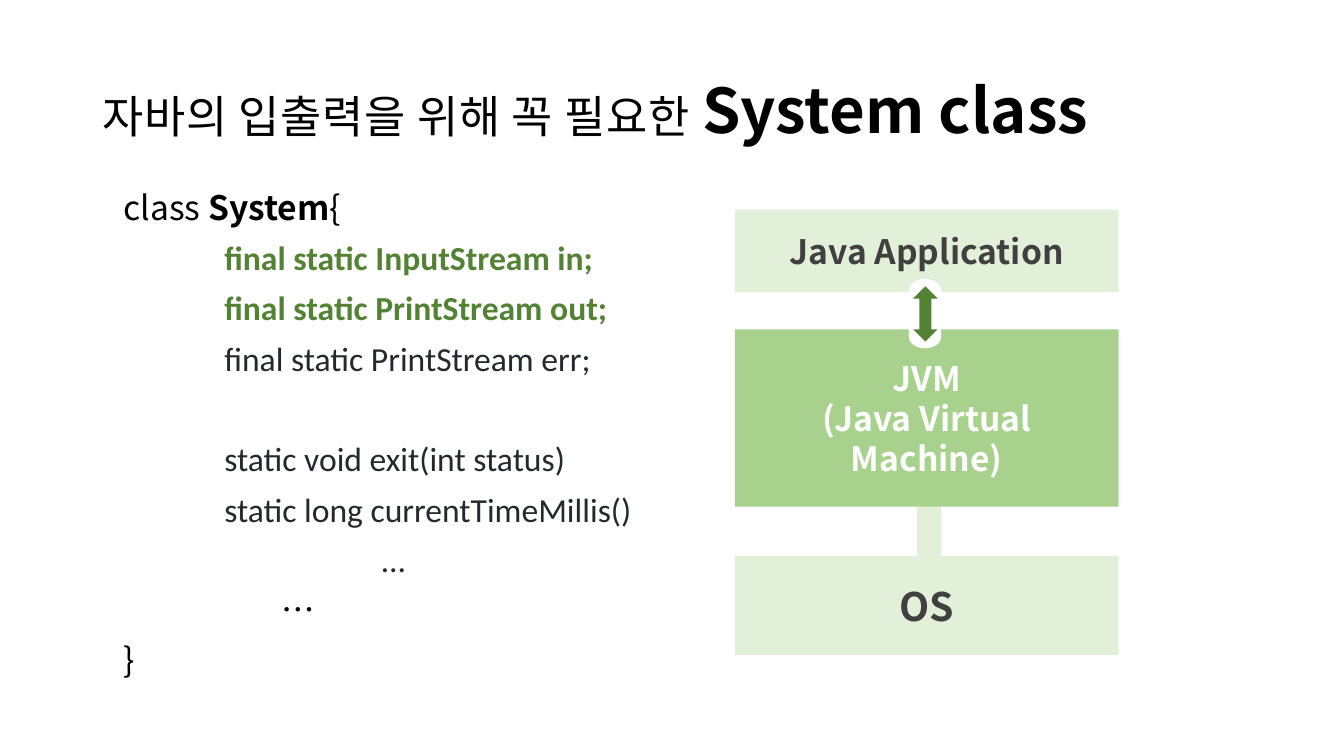
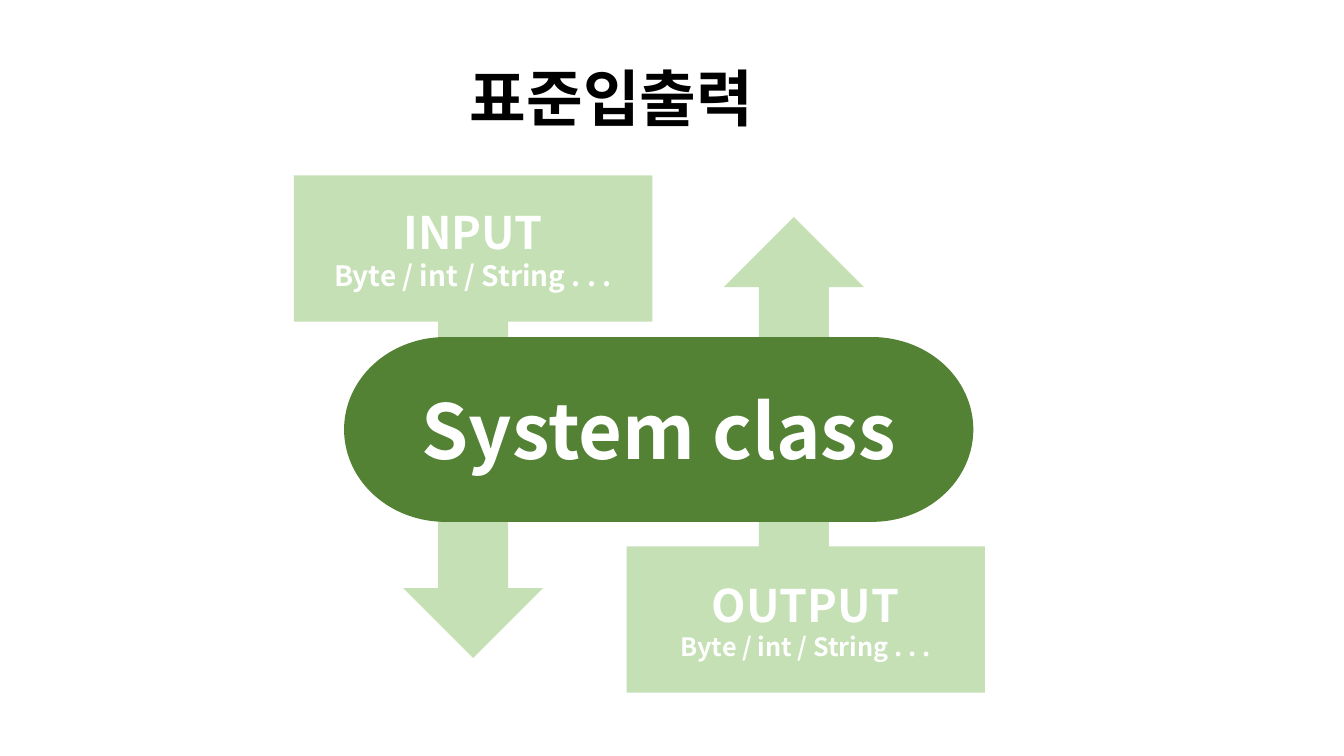
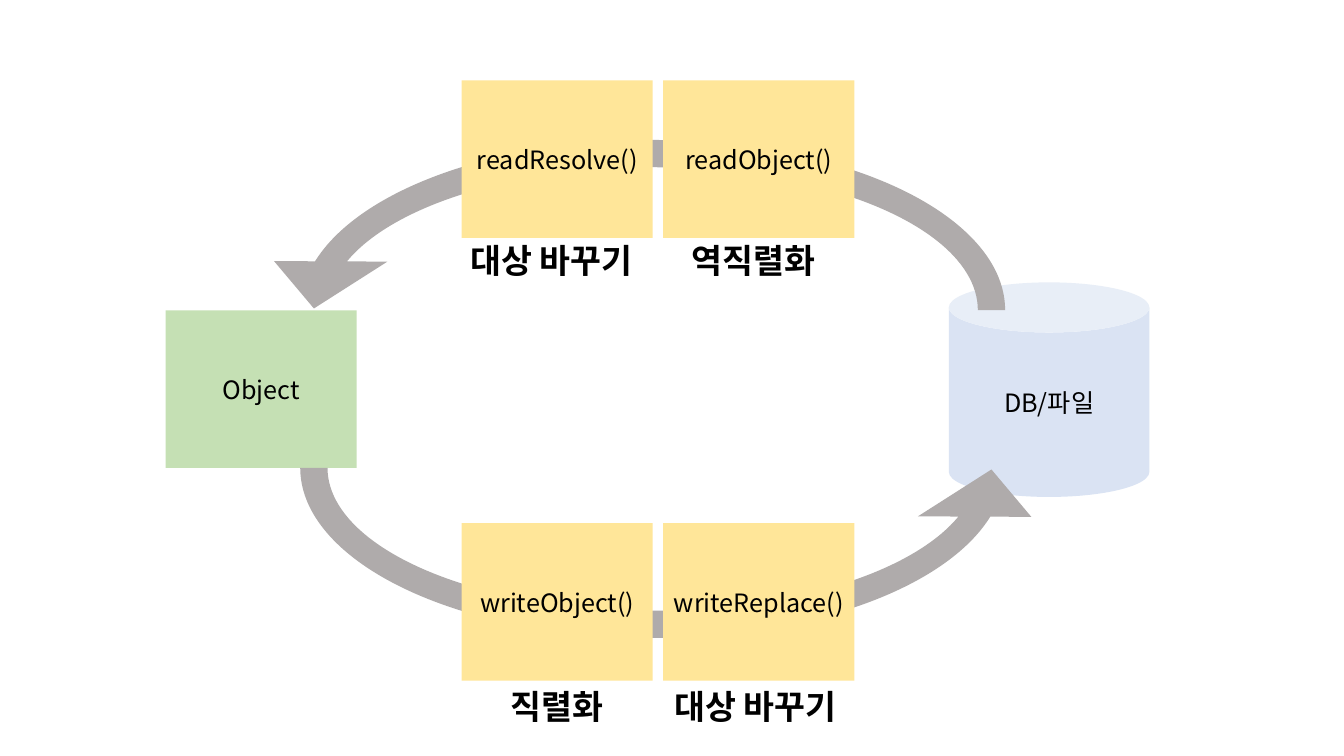
from dataclasses import dataclass

from lxml import etree
from pptx import Presentation
from pptx.dml.color import RGBColor as RGB
from pptx.enum.shapes import MSO_SHAPE as SHAPE
from pptx.enum.text import MSO_ANCHOR as ANCHOR, MSO_AUTO_SIZE as FIT, PP_ALIGN as ALIGN
from pptx.oxml.ns import qn
from pptx.util import Pt


@dataclass(frozen=True)
class Theme:
    font: str = "Noto Sans CJK KR"
    code_font: str = "Calibri"
    black: str = "000000"
    white: str = "FFFFFF"
    ink: str = "404040"
    code: str = "24292E"
    dark_green: str = "548235"
    green: str = "A9D18E"
    soft_green: str = "C5E0B4"
    pale_green: str = "E2F0D9"
    yellow: str = "FFE699"
    blue: str = "DAE3F3"
    gray: str = "AFABAB"
    hero: int = 54
    title: int = 44
    subtitle: int = 32
    large: int = 28
    body: int = 24
    note: int = 20
    small: int = 18


theme = Theme()
EDGES = ("left", "top", "width", "height")


def write(frame, lines, **paragraph_format):
    """Fill a text frame; each line is a list of (text, style) runs."""
    for number, line in enumerate(lines):
        paragraph = frame.paragraphs[0] if number == 0 else frame.add_paragraph()
        for attribute, value in paragraph_format.items():
            setattr(paragraph, attribute, value)
        for text, style in line:
            run = paragraph.add_run()
            run.text = text
            values = {"name": theme.font, "bold": False, "color": theme.black, **style}
            run.font.color.rgb = RGB.from_string(values.pop("color"))
            values["size"] = Pt(values["size"])
            for attribute, value in values.items():
                setattr(run.font, attribute, value)
            east_asian = etree.SubElement(run.font._element, qn("a:ea"))
            east_asian.set("typeface", values["name"])


def draw(shapes, preset, box, fill, lines=(), rotation=0):
    """Add a flat preset shape with centred text."""
    shape = shapes.add_shape(preset, *map(Pt, box))
    shape.shadow.inherit = False
    shape.fill.solid()
    shape.fill.fore_color.rgb = RGB.from_string(fill)
    shape.line.fill.background()
    shape.rotation = rotation
    shape.text_frame.word_wrap = True
    shape.text_frame.vertical_anchor = ANCHOR.MIDDLE
    write(shape.text_frame, lines, alignment=ALIGN.CENTER)
    return shape


deck = Presentation()
deck.slide_width, deck.slide_height = Pt(960), Pt(540)
TITLE_AND_BODY, TITLE_ONLY, BLANK = (deck.slide_layouts[i] for i in (1, 5, 6))
class_slide, io_slide, serial_slide = (
    deck.slides.add_slide(layout) for layout in (TITLE_AND_BODY, TITLE_ONLY, BLANK))

# Text styles
headline = {"size": theme.title, "bold": True}
plain = {"size": theme.body}
strong = {**plain, "bold": True}
code = {**plain, "name": theme.code_font, "color": theme.code}
stream = {**code, "color": theme.dark_green, "bold": True}
on_pale = {**strong, "color": theme.ink}
on_green = {**strong, "color": theme.white}

# Titles
titles = [
    (class_slide, (66, 29, 828, 104),
     [("자바의 입출력을 위해 꼭 필요한 ", {"size": theme.subtitle}), ("System class", headline)]),
    (io_slide, (328.5, 20.5, 247, 104), [("표준입출력", headline)]),
]
for slide, box, runs in titles:
    title = slide.shapes.title
    for edge, value in zip(EDGES, box):
        setattr(title, edge, Pt(value))
    title.text_frame.auto_size = FIT.NONE
    title.text_frame.vertical_anchor = ANCHOR.MIDDLE
    write(title.text_frame, [runs], alignment=ALIGN.LEFT, line_spacing=0.9)

# Slightly open letter spacing in the lead-in of the first title
lead_in = class_slide.shapes.title.text_frame.paragraphs[0].runs[0]
lead_in.font._element.set("spc", "50")

# Slide 1: class listing, members indented
listing = class_slide.placeholders[1]
for edge, value in zip(EDGES, (81, 133, 414, 390)):
    setattr(listing, edge, Pt(value))
listing.text_frame.auto_size = FIT.NONE
listing.text_frame.vertical_anchor = ANCHOR.TOP
exit_line = "static void exit(int status)"
write(listing.text_frame, [
    [("class ", plain), ("System", strong), ("{", plain)],
    [("final static InputStream in;", stream)],
    [("final static PrintStream out;", stream)],
    [("final static PrintStream err;", code)],
    [(exit_line, code)],
    [("static long currentTimeMillis()", code)],
    [("                                  …", code)],
    [("                     …", plain)],
    [("}", plain)],
], alignment=ALIGN.LEFT, line_spacing=0.9, space_before=Pt(10))
for paragraph in listing.text_frame.paragraphs:
    is_member = paragraph.text.startswith(("final", "static"))
    properties = paragraph._p.get_or_add_pPr()
    properties.set("marL", str(int(Pt(72 if is_member else 0))))
    properties.set("indent", "0")
    etree.SubElement(properties, qn("a:buNone"))
    if paragraph.text == exit_line:
        paragraph.space_before = Pt(46)
listing.text_frame.paragraphs[0].space_before = Pt(0)

# Slide 1: application, JVM and OS layers
layers = class_slide.shapes.add_group_shape().shapes
draw(layers, SHAPE.RECTANGLE, (655, 351, 17.5, 71), theme.pale_green)
for top, height, fill, lines in [
    (149.75, 59, theme.pale_green, [[("Java Application", on_pale)]]),
    (235.25, 126.75, theme.green, [[("JVM", on_green)], [("(Java Virtual Machine)", on_green)]]),
    (397.25, 70.5, theme.pale_green, [[("OS", {**on_pale, "size": theme.large})]]),
]:
    draw(layers, SHAPE.RECTANGLE, (525, top, 274, height), fill, lines)
draw(layers, SHAPE.FLOWCHART_TERMINATOR, (636, 212.5, 49.5, 23), theme.white, rotation=270)
draw(layers, SHAPE.UP_DOWN_ARROW, (652.25, 204.5, 17.5, 39.5), theme.dark_green)

# Slide 2: flow through the System class
draw(io_slide.shapes, SHAPE.DOWN_ARROW, (517, 155, 100, 243), theme.soft_green, rotation=180)
draw(io_slide.shapes, SHAPE.DOWN_ARROW, (288, 216, 100, 254), theme.soft_green)
draw(io_slide.shapes, SHAPE.FLOWCHART_TERMINATOR, (245.75, 240.75, 449.5, 132), theme.dark_green,
     [[("System class", {**on_green, "size": theme.hero})]])
for left, top, direction, type_size in [
    (210, 125.25, "INPUT", theme.note),
    (447.5, 390.25, "OUTPUT", theme.small),
]:
    draw(io_slide.shapes, SHAPE.RECTANGLE, (left, top, 256, 104.5), theme.soft_green, [
        [(direction, {**on_green, "size": theme.subtitle})],
        [("Byte / int / String . . .", {**on_green, "size": type_size})],
    ])

# Slide 3: object and store
step_text = {"size": theme.small}
STEP_SIZE = (136.5, 112.5)
draw(serial_slide.shapes, SHAPE.CAN, (677.75, 201.75, 143.25, 153.25), theme.blue,
     [[("DB/파일", step_text)]])
draw(serial_slide.shapes, SHAPE.RECTANGLE, (118.25, 221.75, *STEP_SIZE), theme.soft_green,
     [[("Object", step_text)]])

# Slide 3: read arc above, write arc below
ARC_PERCENT = (6.4, 500, 21084, 10800, 13.3)
for top, flip in [(69.25, "flipH"), (182, "flipV")]:
    arc = draw(serial_slide.shapes, SHAPE.CIRCULAR_ARROW, (183.75, top, 565, 304.5), theme.gray)
    for index, percent in enumerate(ARC_PERCENT):
        arc.adjustments[index] = percent / 100
    arc._element.spPr.find(qn("a:xfrm")).set(flip, "1")

# Slide 3: steps on the arcs with their captions
steps = [
    (57.5, 168, [("readResolve()", "대상 바꾸기", 329, 144),
                 ("readObject()", "역직렬화", 486.75, 111.5)]),
    (373.75, 486.5, [("writeObject()", "직렬화", 357.75, 87),
                     ("writeReplace()", "대상 바꾸기", 474.5, 144)]),
]
for step_top, caption_top, row in steps:
    for column, (method, meaning, caption_left, caption_width) in enumerate(row):
        draw(serial_slide.shapes, SHAPE.RECTANGLE, (329.75 + 144 * column, step_top, *STEP_SIZE),
             theme.yellow, [[(method, step_text)]])
        caption = serial_slide.shapes.add_textbox(
            *map(Pt, (caption_left, caption_top, caption_width, 36)))
        caption.text_frame.word_wrap = False
        caption.text_frame.auto_size = FIT.SHAPE_TO_FIT_TEXT
        write(caption.text_frame, [[(meaning, strong)]])

deck.save("out.pptx")
